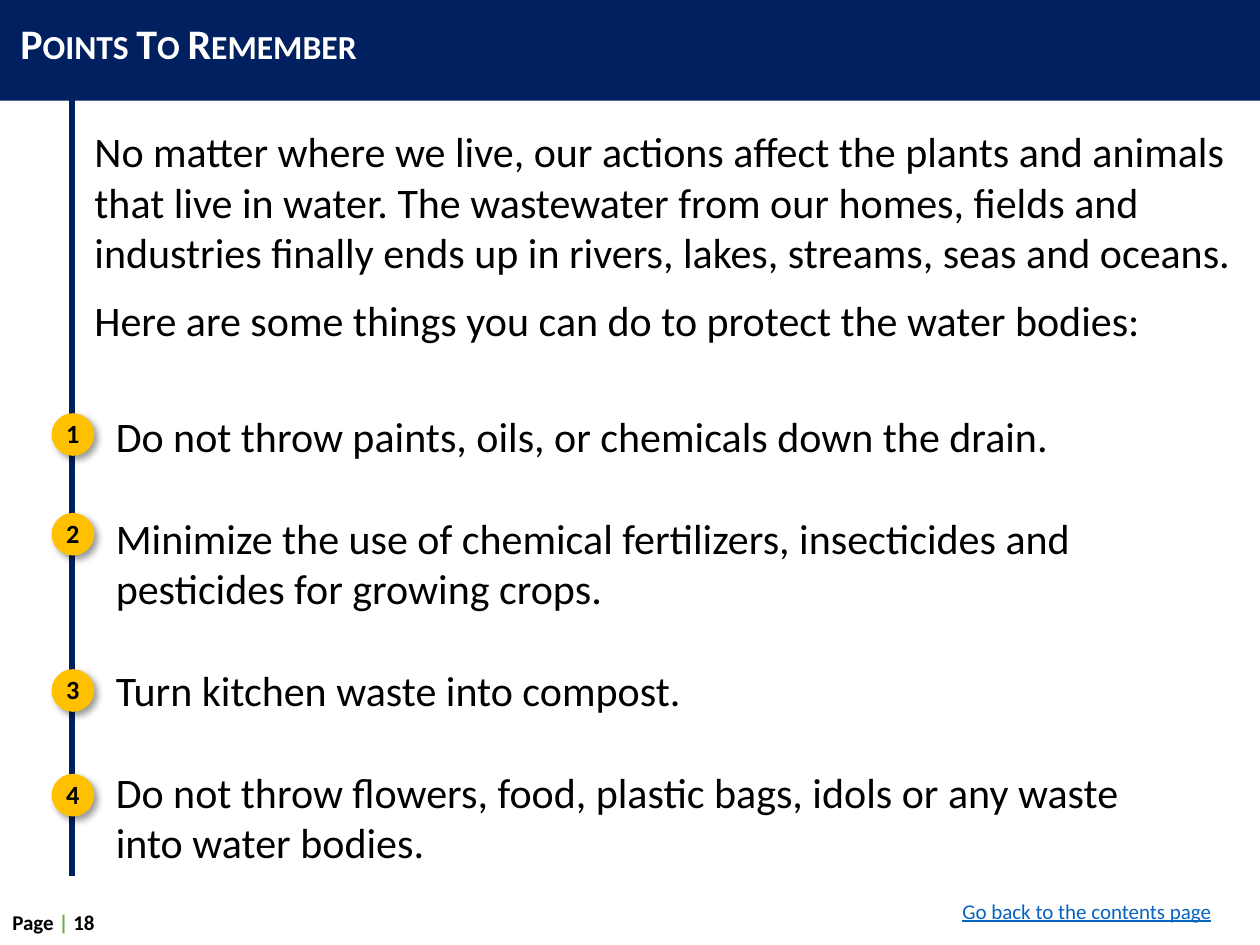
import pptx
import pptx.dml.color
import pptx.enum.shapes
import pptx.enum.text
import pptx.oxml
import pptx.oxml.ns
import pptx.util
from lxml import etree
from pptx.util import Cm

NAVY = "002060"
AMBER = "FFC000"
BLACK = "000000"
WHITE = "FFFFFF"
GREEN = "70AD47"
LINK_BLUE = "0563C1"

INTRO = [
    "No matter where we live, our actions affect the plants and animals that live in water. "
    "The wastewater from our homes, fields and industries finally ends up in rivers, lakes, "
    "streams, seas and oceans.",
    "Here are some things you can do to protect the water bodies:",
]
ACTIONS = [
    "Do not throw paints, oils, or chemicals down the drain.",
    "Minimize the use of chemical fertilizers, insecticides and pesticides for growing crops.",
    "Turn kitchen waste into compost.",
    "Do not throw flowers, food, plastic bags, idols or any waste into water bodies.",
]
BADGE_TOPS = [8.33, 10.34, 13.49, 15.6]


def rgb(value):
    return pptx.dml.color.RGBColor.from_string(value)


def style(paragraph, size, color=None, bold=False):
    font = paragraph.font
    font.name = "Calibri"
    font.size = pptx.util.Pt(size)
    font.bold = bold
    if color:
        font.color.rgb = rgb(color)


def place(shape, left, top, width, height):
    shape.left, shape.top = Cm(left), Cm(top)
    shape.width, shape.height = Cm(width), Cm(height)


def add_effects(parent):
    return etree.SubElement(parent, pptx.oxml.ns.qn("a:effectLst"))


def add_timeline(slide):
    timeline = slide.shapes.add_connector(
        pptx.enum.shapes.MSO_CONNECTOR.STRAIGHT, Cm(1.45), Cm(1.68), Cm(1.45), Cm(17.65))
    timeline.line.color.rgb = rgb(NAVY)
    timeline.line.width = pptx.util.Pt(3)
    add_effects(timeline.element.spPr)
    return timeline


def add_solid(slide, preset, box, color):
    solid = slide.shapes.add_shape(preset, *map(Cm, box))
    solid.shadow.inherit = False
    solid.fill.solid()
    solid.fill.fore_color.rgb = rgb(color)
    solid.line.fill.background()
    return solid


def add_badge(slide, number, top):
    badge = add_solid(slide, pptx.enum.shapes.MSO_SHAPE.OVAL, (1.04, top, 0.86, 0.86), AMBER)
    effects = badge.element.spPr.find(pptx.oxml.ns.qn("a:effectLst"))
    effects.append(pptx.oxml.parse_xml(
        f'<a:outerShdw {pptx.oxml.ns.nsdecls("a")} blurRad="50800" dist="38100" dir="2700000">'
        f'<a:srgbClr val="{BLACK}"><a:alpha val="40000"/></a:srgbClr></a:outerShdw>'))
    frame = badge.text_frame
    frame.word_wrap = False
    frame.vertical_anchor = pptx.enum.text.MSO_ANCHOR.MIDDLE
    frame.margin_left = frame.margin_right = frame.margin_top = frame.margin_bottom = Cm(0.1)
    label = frame.paragraphs[0]
    label.text = str(number)
    label.alignment = pptx.enum.text.PP_ALIGN.CENTER
    label.line_spacing = 0.95
    style(label, 15, BLACK, bold=True)


def fill_title(title):
    place(title, 0.05, -0.2, 21.97, 2.24)
    frame = title.text_frame
    frame.auto_size = pptx.enum.text.MSO_AUTO_SIZE.NONE
    frame.vertical_anchor = pptx.enum.text.MSO_ANCHOR.MIDDLE
    frame.margin_left = Cm(0.36)
    heading = frame.paragraphs[0]
    heading.text = "Points To Remember"
    heading.alignment = pptx.enum.text.PP_ALIGN.LEFT
    heading.line_spacing = 0.9
    style(heading, 24, WHITE, bold=True)
    heading.font._rPr.set("cap", "small")


def fill_body(body, box, texts, gap):
    place(body, *box)
    frame = body.text_frame
    frame.auto_size = pptx.enum.text.MSO_AUTO_SIZE.NONE
    frame.text = "\n".join(texts)
    for index, paragraph in enumerate(frame.paragraphs):
        paragraph.space_before = pptx.util.Pt(gap if index else 0)
        properties = paragraph._p.get_or_add_pPr()
        properties.set("marL", "0")
        properties.set("indent", "0")
        etree.SubElement(properties, pptx.oxml.ns.qn("a:buNone"))
        style(paragraph, 24, BLACK)


def add_note(slide, box, wrap):
    note = slide.shapes.add_textbox(*map(Cm, box))
    note.text_frame.word_wrap = wrap
    return note.text_frame.paragraphs[0]


def add_page_number(slide):
    page = add_note(slide, (0, 18.21, 25.4, 0.76), True)
    page.alignment = pptx.enum.text.PP_ALIGN.JUSTIFY
    style(page, 12, bold=True)
    for text, color in [("Page ", BLACK), ("| ", GREEN), ("18", BLACK)]:
        run = page.add_run()
        run.text = text
        run.font.color.rgb = rgb(color)


def add_contents_note(slide):
    contents = add_note(slide, (19.15, 17.98, 5.59, 0.76), False)
    contents.text = "Go back to the contents page"
    style(contents, 12, LINK_BLUE)
    contents.font.underline = True


def main():
    deck = pptx.Presentation()
    deck.slide_width, deck.slide_height = Cm(25.4), Cm(19.05)
    slide = deck.slides.add_slide(deck.slide_layouts.get_by_name("Two Content"))
    title, intro, actions = slide.placeholders

    timeline = add_timeline(slide)
    band = add_solid(
        slide, pptx.enum.shapes.MSO_SHAPE.RECTANGLE, (0, -0.23, 25.4, 2.26), NAVY)
    for backdrop in (timeline, band):
        title.element.addprevious(backdrop.element)

    fill_title(title)
    fill_body(intro, (1.65, 2.41, 23.8, 4.7), INTRO, 9.8)
    fill_body(actions, (2.08, 8.15, 20.75, 9.5), ACTIONS, 29.3)
    for number, top in enumerate(BADGE_TOPS, 1):
        add_badge(slide, number, top)
    add_page_number(slide)
    add_contents_note(slide)
    deck.save("out.pptx")


if __name__ == "__main__":
    main()
